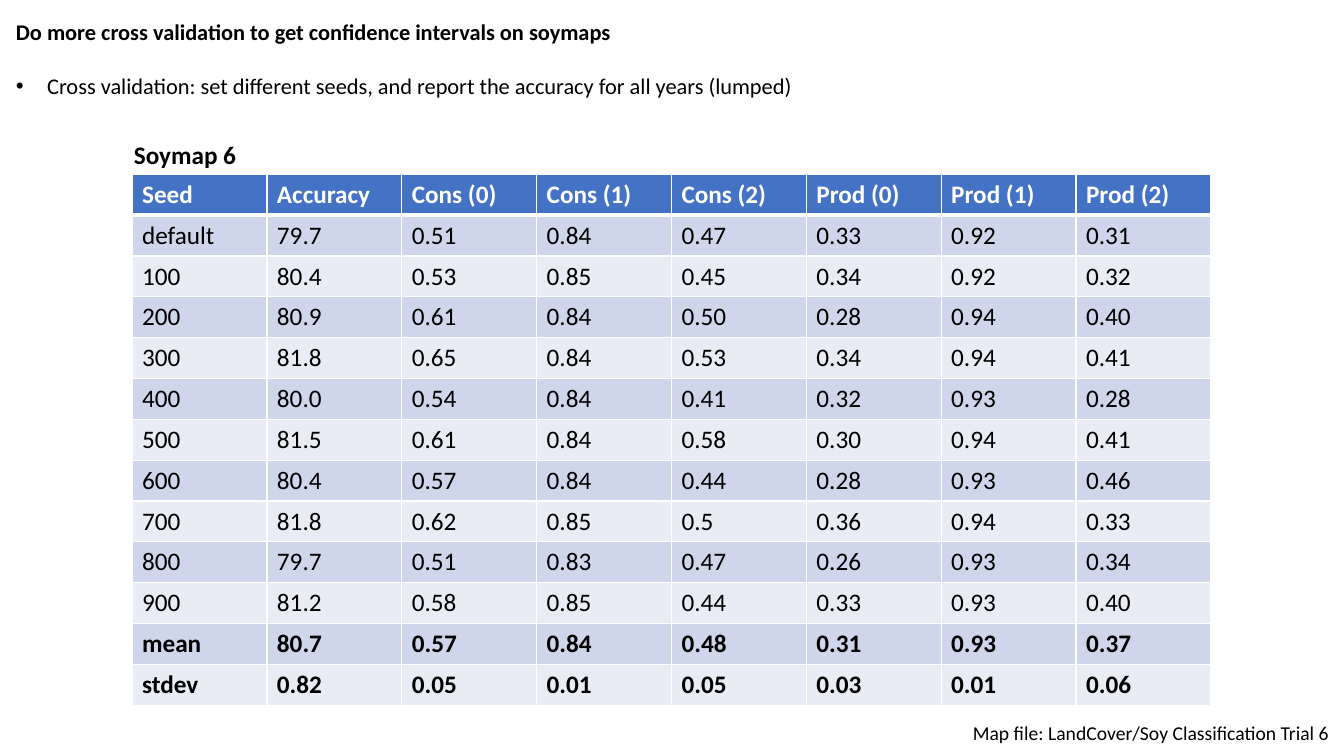
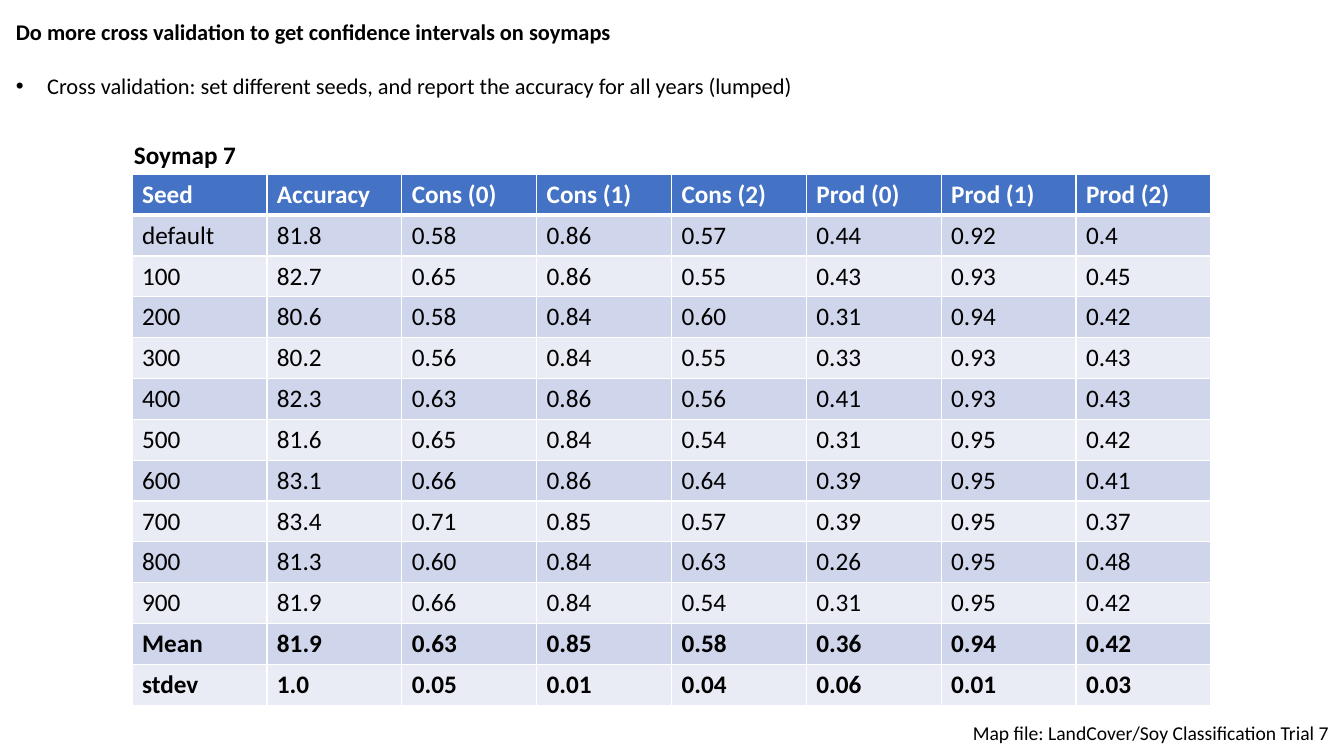
from dataclasses import dataclass
from lxml.etree import SubElement
from pptx import Presentation
from pptx.dml.color import RGBColor
from pptx.oxml.ns import qn
from pptx.util import Inches, Pt

# Content
TITLE = "Do more cross validation to get confidence intervals on soymaps"
POINT = "Cross validation: set different seeds, and report the accuracy for all years (lumped)"
HEAD = ["Seed", "Accuracy", "Cons (0)", "Cons (1)", "Cons (2)",
        "Prod (0)", "Prod (1)", "Prod (2)"]
MAPS = [
    {"name": "Soymap 6", "file": "Map file: LandCover/Soy Classification Trial 6", "rows": [
        "default 79.7 0.51 0.84 0.47 0.33 0.92 0.31",
        "100 80.4 0.53 0.85 0.45 0.34 0.92 0.32",
        "200 80.9 0.61 0.84 0.50 0.28 0.94 0.40",
        "300 81.8 0.65 0.84 0.53 0.34 0.94 0.41",
        "400 80.0 0.54 0.84 0.41 0.32 0.93 0.28",
        "500 81.5 0.61 0.84 0.58 0.30 0.94 0.41",
        "600 80.4 0.57 0.84 0.44 0.28 0.93 0.46",
        "700 81.8 0.62 0.85 0.5 0.36 0.94 0.33",
        "800 79.7 0.51 0.83 0.47 0.26 0.93 0.34",
        "900 81.2 0.58 0.85 0.44 0.33 0.93 0.40",
        "mean 80.7 0.57 0.84 0.48 0.31 0.93 0.37",
        "stdev 0.82 0.05 0.01 0.05 0.03 0.01 0.06"]},
    {"name": "Soymap 7", "file": "Map file: LandCover/Soy Classification Trial 7", "rows": [
        "default 81.8 0.58 0.86 0.57 0.44 0.92 0.4",
        "100 82.7 0.65 0.86 0.55 0.43 0.93 0.45",
        "200 80.6 0.58 0.84 0.60 0.31 0.94 0.42",
        "300 80.2 0.56 0.84 0.55 0.33 0.93 0.43",
        "400 82.3 0.63 0.86 0.56 0.41 0.93 0.43",
        "500 81.6 0.65 0.84 0.54 0.31 0.95 0.42",
        "600 83.1 0.66 0.86 0.64 0.39 0.95 0.41",
        "700 83.4 0.71 0.85 0.57 0.39 0.95 0.37",
        "800 81.3 0.60 0.84 0.63 0.26 0.95 0.48",
        "900 81.9 0.66 0.84 0.54 0.31 0.95 0.42",
        "Mean 81.9 0.63 0.85 0.58 0.36 0.94 0.42",
        "stdev 1.0 0.05 0.01 0.04 0.06 0.01 0.03"]},
]
TOTALS = 2  # closing rows set in bold


@dataclass(frozen=True)
class Theme:
    font: str = "Calibri"
    ink: str = "000000"
    white: str = "FFFFFF"
    head: str = "4472C4"
    bands: tuple = ("CFD5EA", "E9EBF5")
    body: int = 16
    grid: int = 18
    note: int = 14
    thin: int = 1
    thick: int = 3


THEME = Theme()


# Text
def write(para, text, size=THEME.body, bold=False, color=THEME.ink, gap=0, bullet=False):
    if bullet:
        props = para._p.get_or_add_pPr()
        props.set("marL", str(Inches(0.31)))
        props.set("indent", str(-Inches(0.31)))
        SubElement(props, qn("a:buFont"), typeface="Arial")
        SubElement(props, qn("a:buChar"), char="•")
    if gap:
        para.space_before = Pt(gap)
    run = para.add_run()
    run.text = text
    font = run.font
    font.name, font.size, font.bold = THEME.font, Pt(size), bold
    font.color.rgb = RGBColor.from_string(color)


def add_box(slide, left, top, width, height):
    box = slide.shapes.add_textbox(*map(Inches, (left, top, width, height)))
    box.text_frame.word_wrap = True
    return box.text_frame


# Table
def edge(cell, side, width):
    line = SubElement(cell._tc.get_or_add_tcPr(), qn(f"a:ln{side}"), w=str(Pt(width)))
    fill = SubElement(line, qn("a:solidFill"))
    SubElement(fill, qn("a:srgbClr"), val=THEME.white)


def add_grid(slide, rows, left, top, width, height):
    table = slide.shapes.add_table(
        len(rows), len(HEAD), *map(Inches, (left, top, width, height))).table
    for r, row in enumerate(rows):
        first = r == 0
        shade = THEME.head if first else THEME.bands[(r - 1) % 2]
        widths = {"L": THEME.thin, "R": THEME.thin,
                  "T": THEME.thick if r == 1 else THEME.thin,
                  "B": THEME.thick if first else THEME.thin}
        for c, text in enumerate(row):
            cell = table.cell(r, c)
            for side, weight in widths.items():
                edge(cell, side, weight)
            cell.fill.solid()
            cell.fill.fore_color.rgb = RGBColor.from_string(shade)
            write(cell.text_frame.paragraphs[0], text, size=THEME.grid,
                  bold=first or r >= len(rows) - TOTALS,
                  color=THEME.white if first else THEME.ink)


# Slides
def add_map(deck, data):
    slide = deck.slides.add_slide(deck.slide_layouts[6])
    top = add_box(slide, 0.06, 0.13, 13.22, 0.91)
    write(top.paragraphs[0], TITLE, bold=True)
    write(top.add_paragraph(), POINT, gap=19.5, bullet=True)
    add_grid(slide, [HEAD] + [row.split() for row in data["rows"]], 1.31, 1.73, 10.7, 5.27)
    name = add_box(slide, 1.23, 1.33, 1.35, 0.4)
    write(name.paragraphs[0], data["name"], size=THEME.grid, bold=True)
    foot = add_box(slide, 9.55, 7.1, 3.78, 0.34)
    write(foot.paragraphs[0], data["file"], size=THEME.note)


def main():
    deck = Presentation()
    deck.slide_width, deck.slide_height = Inches(13.33), Inches(7.5)
    for data in MAPS:
        add_map(deck, data)
    deck.save("out.pptx")


if __name__ == "__main__":
    main()
